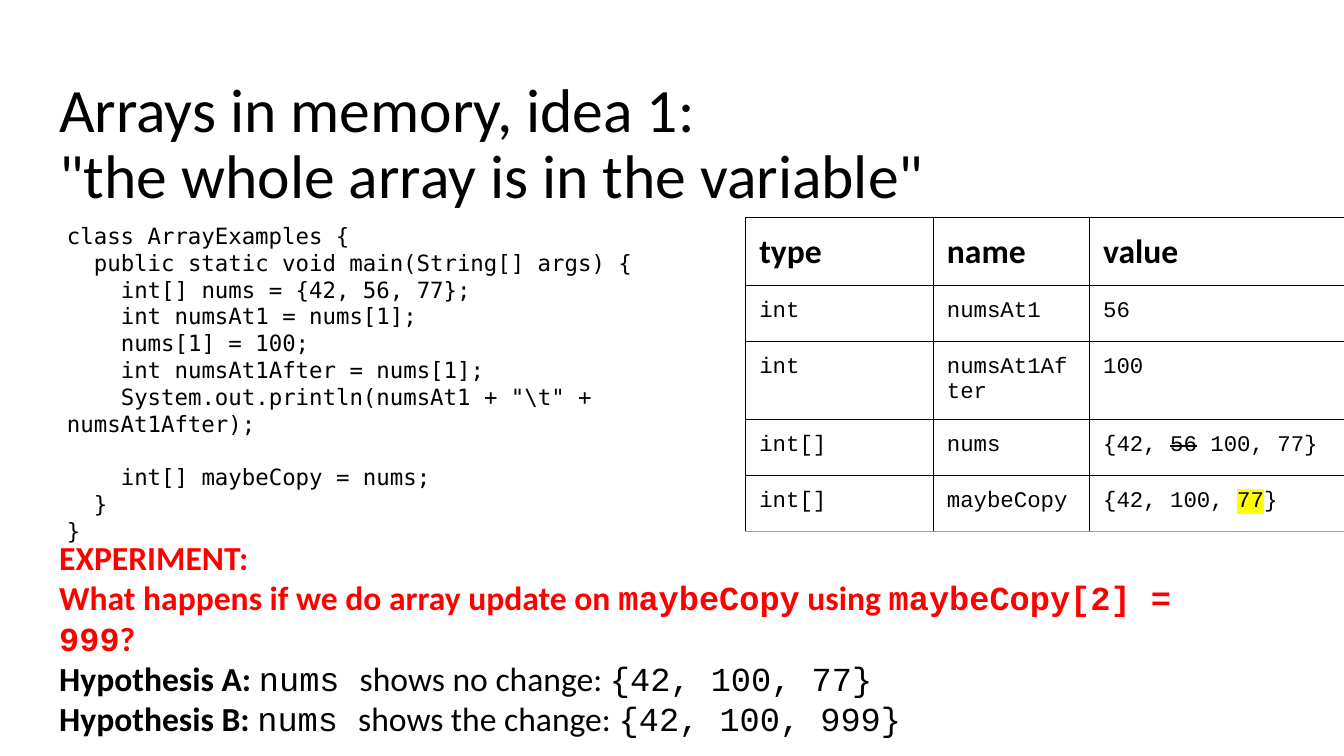
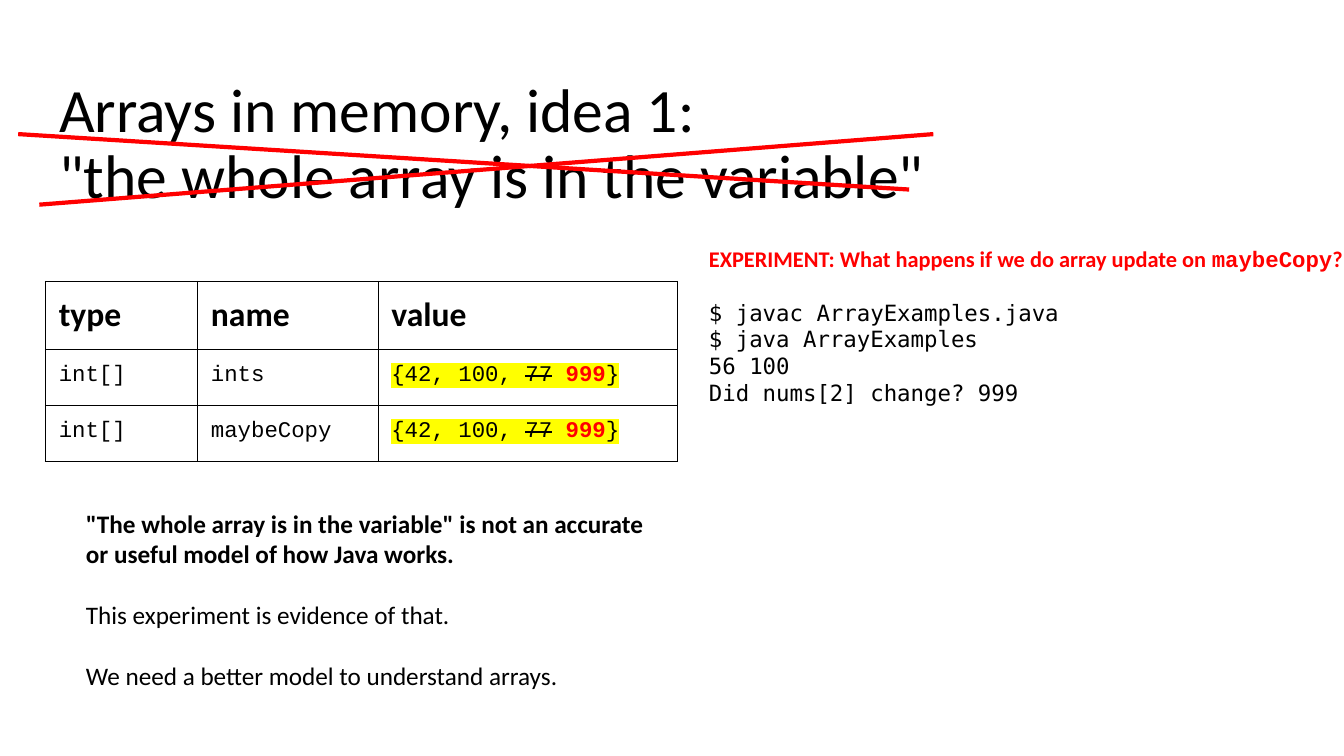
from lxml import etree
from pptx import Presentation
from pptx.dml.color import RGBColor
from pptx.enum.shapes import MSO_CONNECTOR
from pptx.enum.text import MSO_ANCHOR, MSO_AUTO_SIZE, PP_ALIGN
from pptx.oxml.ns import qn
from pptx.util import Pt

# Shared look
COLORS = {"ink": "000000", "alert": "FF0000", "marker": "FFFF00",
          "grid": "000000", "table_end": "9E9E9E"}
SANS, MONO, CODE = "Calibri", "Courier New", "DejaVu Sans Mono"
INSET = 9.6
FRAME = {"word_wrap": True, "auto_size": MSO_AUTO_SIZE.NONE,
         "margin_left": Pt(INSET), "margin_right": Pt(INSET),
         "margin_top": Pt(INSET), "margin_bottom": Pt(INSET)}
CELL = {name: FRAME[name] for name in FRAME if name.startswith("margin")}
FONTS = {
    "plain": {"name": SANS, "bold": False},
    "bold": {"name": SANS, "bold": True},
    "mono": {"name": MONO, "bold": False},
    "code": {"name": CODE, "bold": False},
    "alert": {"name": SANS, "bold": True, "color": "alert"},
    "alert_mono": {"name": MONO, "bold": True, "color": "alert"},
    "struck": {"name": MONO, "bold": False, "strike": True},
    "marked": {"name": MONO, "bold": False, "mark": True},
    "marked_struck": {"name": MONO, "bold": False, "mark": True, "strike": True},
    "marked_new": {"name": MONO, "bold": True, "color": "alert", "mark": True},
}
CODE_STEP = 19.26   # width of two code characters at 16 pt
CODE_GAP = 19       # one empty line of code
TEXT_GAP = 22       # one empty line of 18 pt text

# Content: a paragraph is a list of (text, font) runs
TITLE = [[("Arrays in memory, idea 1:", "plain")],
         [('"the whole array is in the variable"', "plain")]]
HEADER = ["type", "name", "value"]

PROGRAM = [  # (nesting depth, line)
    (0, "class ArrayExamples {"),
    (1, "public static void main(String[] args) {"),
    (2, "int[] nums = {42, 56, 77};"),
    (2, "int numsAt1 = nums[1];"),
    (2, "nums[1] = 100;"),
    (2, "int numsAt1After = nums[1];"),
    (2, r'System.out.println(numsAt1 + "\t" + numsAt1After);'),
    (2, "int[] maybeCopy = nums;"),
    (1, "}"),
    (0, "}"),
]
COPY_LINE = 7
MEMORY = [
    ["int", "numsAt1", "56"],
    ["int", "numsAt1After", "100"],
    ["int[]", "nums", [("{42, ", "mono"), ("56", "struck"), (" 100, 77}", "mono")]],
    ["int[]", "maybeCopy", [("{42, 100, ", "mono"), ("77", "marked"), ("}", "mono")]],
]
EXPERIMENT = [
    [("EXPERIMENT:", "alert")],
    [("What happens if we do array update on ", "alert"), ("maybeCopy", "alert_mono"),
     (" using ", "alert"), ("maybeCopy[2] = 999", "alert_mono"), ("?", "alert")],
    [("Hypothesis A: ", "bold"), ("nums ", "mono"),
     ("shows no change: ", "plain"), ("{42, 100, 77}", "mono")],
    [("Hypothesis B: ", "bold"), ("nums ", "mono"),
     ("shows the change: ", "plain"), ("{42, 100, 999}", "mono")],
]

UPDATED = [("{42, 100, ", "marked"), ("77", "marked_struck"), (" ", "marked"),
           ("999", "marked_new"), ("}", "marked")]
MEMORY_AFTER = [["int[]", name, UPDATED] for name in ("ints", "maybeCopy")]
CONSOLE = [
    [("EXPERIMENT: What happens if we do array update on ", "alert"),
     ("maybeCopy", "alert_mono"), ("?", "alert")],
    [("$ javac ArrayExamples.java", "code")],
    [("$ java ArrayExamples", "code")],
    [("56 100", "code")],
    [("Did nums[2] change? 999", "code")],
]
CONCLUSION = [
    [('"The whole array is in the variable" is not an accurate '
      "or useful model of how Java works.", "bold")],
    [("This experiment is evidence of that.", "plain")],
    [("We need a better model to understand arrays.", "plain")],
]
CROSS_OUT = [(13, 95.8, 649.4, 135.4), (28.1, 146.2, 666.7, 95.8)]


def color(name):
    return RGBColor.from_string(COLORS[name])


def apply(target, values):
    for name, value in values.items():
        setattr(target, name, value)


def write_runs(paragraph, runs, size):
    for text, style in runs:
        look = FONTS[style]
        run = paragraph.add_run()
        run.text = text
        apply(run.font, {"size": Pt(size), "name": look["name"], "bold": look["bold"]})
        run.font.color.rgb = color(look.get("color", "ink"))
        properties = run.font._element
        if look.get("strike"):
            properties.set("strike", "sngStrike")
        if look.get("mark"):
            highlight = etree.Element(qn("a:highlight"))
            etree.SubElement(highlight, qn("a:srgbClr"), val=COLORS["marker"])
            properties.find(qn("a:solidFill")).addnext(highlight)


def write(frame, paragraphs, size, gaps={}, depths=(), **spacing):
    """gaps: space before a paragraph; depths: first-line indent steps."""
    for index, runs in enumerate(paragraphs):
        paragraph = frame.paragraphs[0] if index == 0 else frame.add_paragraph()
        apply(paragraph, {"alignment": PP_ALIGN.LEFT,
                          "space_before": Pt(gaps.get(index, 0)), **spacing})
        if depths:
            properties = paragraph._p.get_or_add_pPr()
            properties.set("marL", "0")
            properties.set("indent", str(Pt(depths[index] * CODE_STEP)))
        write_runs(paragraph, runs, size)


def add_text(slide, box, paragraphs, size, anchor=MSO_ANCHOR.TOP, **layout):
    frame = slide.shapes.add_textbox(*map(Pt, box)).text_frame
    apply(frame, {**FRAME, "vertical_anchor": anchor})
    write(frame, paragraphs, size, **layout)


def set_borders(cell, bottom):
    properties = cell._tc.get_or_add_tcPr()
    sides = [("lnL", "grid"), ("lnR", "grid"), ("lnT", "grid"), ("lnB", bottom)]
    for place, (side, name) in enumerate(sides):
        line = etree.Element(qn("a:" + side), w=str(Pt(0.75)))
        fill = etree.SubElement(line, qn("a:solidFill"))
        etree.SubElement(fill, qn("a:srgbClr"), val=COLORS[name])
        properties.insert(place, line)


def add_memory_table(slide, left, top, widths, body, end="grid"):
    heights = [48.5] + [40] * len(body)
    table = slide.shapes.add_table(len(heights), len(widths), Pt(left), Pt(top),
                                   Pt(sum(widths)), Pt(sum(heights))).table
    apply(table, {"first_row": False, "horz_banding": False})
    for column, width in zip(table.columns, widths):
        column.width = Pt(width)
    for r, values in enumerate([HEADER] + body):
        table.rows[r].height = Pt(heights[r])
        size, style = (16, "mono") if r else (24, "bold")
        for c, value in enumerate(values):
            cell = table.cell(r, c)
            apply(cell, CELL)
            cell.fill.background()
            set_borders(cell, end if r == len(body) else "grid")
            runs = [(value, style)] if isinstance(value, str) else value
            write(cell.text_frame, [runs], size)


def add_titled_slide(deck):
    slide = deck.slides.add_slide(deck.slide_layouts[5])
    title = slide.shapes.title
    apply(title, {"left": Pt(32.7), "top": Pt(46.7), "width": Pt(894.5),
                  "height": Pt(103)})
    apply(title.text_frame, {**FRAME, "vertical_anchor": MSO_ANCHOR.TOP})
    write(title.text_frame, TITLE, 44, line_spacing=0.9)
    return slide


deck = Presentation()
apply(deck, {"slide_width": Pt(960), "slide_height": Pt(540)})

# Slide 1: the idea and the experiment
idea = add_titled_slide(deck)
add_text(idea, (38.2, 149, 519.8, 348.5), [[(line, "code")] for _, line in PROGRAM], 16,
         gaps={COPY_LINE: CODE_GAP}, depths=[depth for depth, _ in PROGRAM])
add_memory_table(idea, 532.8, 155.5, (134, 111.6, 181.6), MEMORY, end="table_end")
add_text(idea, (32.7, 396, 877.7, 118.8), EXPERIMENT, 24, anchor=MSO_ANCHOR.MIDDLE)

# Slide 2: the result, with the idea crossed out
result = add_titled_slide(deck)
add_text(result, (496.8, 165.6, 478.8, 374.4), CONSOLE, 16, gaps={1: CODE_GAP})
add_memory_table(result, 32.4, 200.9, (108.7, 128.9, 213.8), MEMORY_AFTER)
for ends in CROSS_OUT:
    stroke = result.shapes.add_connector(MSO_CONNECTOR.STRAIGHT, *map(Pt, ends))
    stroke.line.color.rgb = color("alert")
    stroke.line.width = Pt(3)
    etree.SubElement(stroke._element.spPr, qn("a:effectLst"))
add_text(result, (51.8, 353.5, 432, 156.2), CONCLUSION, 18,
         gaps={1: TEXT_GAP, 2: TEXT_GAP})

deck.save("out.pptx")
